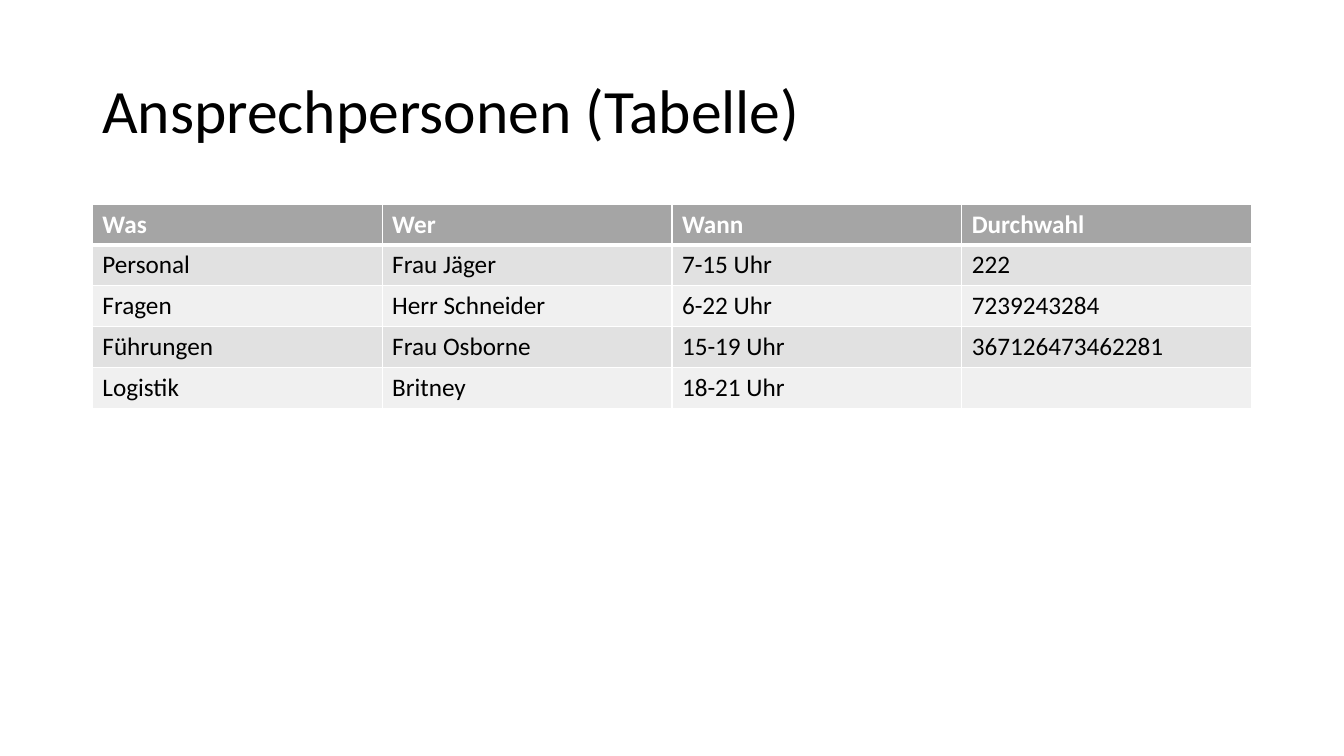
from dataclasses import dataclass

from lxml.etree import SubElement
from pptx import Presentation
from pptx.dml.color import RGBColor
from pptx.enum.text import MSO_ANCHOR
from pptx.oxml.ns import qn
from pptx.slide import Slide
from pptx.table import _Cell as Cell
from pptx.text.text import _Paragraph as Paragraph
from pptx.util import Pt

FONT = "Calibri"
BLACK = "000000"
WHITE = "FFFFFF"
LEFT, WIDTH = 66, 828
ROW_HEIGHT = 29.2
THIN, THICK = 1, 3


@dataclass(frozen=True)
class RowStyle:
    fill: str
    text_color: str = BLACK
    bold: bool = False
    top: float = THIN
    bottom: float = THIN


HEADER = RowStyle("A5A5A5", WHITE, bold=True, bottom=THICK)
FIRST = RowStyle("E1E1E1", top=THICK)
DARK = RowStyle("E1E1E1")
LIGHT = RowStyle("F0F0F0")


@dataclass(frozen=True)
class ContactRow:
    style: RowStyle
    texts: tuple[str, ...]


CONTACTS = [
    ContactRow(HEADER, ("Was", "Wer", "Wann", "Durchwahl")),
    ContactRow(FIRST, ("Personal", "Frau Jäger", "7-15 Uhr", "222")),
    ContactRow(LIGHT, ("Fragen", "Herr Schneider", "6-22 Uhr", "7239243284")),
    ContactRow(DARK, ("Führungen", "Frau Osborne", "15-19 Uhr", "367126473462281")),
    ContactRow(LIGHT, ("Logistik", "Britney", "18-21 Uhr", "")),
]


def color(value: str) -> RGBColor:
    return RGBColor.from_string(value)


def add_run(
    paragraph: Paragraph, text: str, size: float, text_color: str, bold: bool = False
) -> None:
    run = paragraph.add_run()
    run.text = text
    run.font.name = FONT
    run.font.size = Pt(size)
    run.font.bold = bold
    run.font.color.rgb = color(text_color)


def add_borders(cell: Cell, style: RowStyle) -> None:
    properties = cell._tc.get_or_add_tcPr()
    widths = {"lnL": THIN, "lnR": THIN, "lnT": style.top, "lnB": style.bottom}
    for side, width in widths.items():
        line = SubElement(properties, qn(f"a:{side}"), w=str(Pt(width)))
        fill = SubElement(line, qn("a:solidFill"))
        SubElement(fill, qn("a:srgbClr"), val=WHITE)


def fill_cell(cell: Cell, text: str, style: RowStyle) -> None:
    add_borders(cell, style)
    cell.fill.solid()
    cell.fill.fore_color.rgb = color(style.fill)
    if text:
        add_run(cell.text_frame.paragraphs[0], text, 18, style.text_color, style.bold)


def add_title(slide: Slide, text: str) -> None:
    shape = slide.shapes.add_textbox(Pt(LEFT), Pt(28.75), Pt(WIDTH), Pt(104.4))
    frame = shape.text_frame
    frame.word_wrap = True
    frame.vertical_anchor = MSO_ANCHOR.MIDDLE
    paragraph = frame.paragraphs[0]
    paragraph.line_spacing = 0.9
    add_run(paragraph, text, 44, BLACK)


def add_contact_table(slide: Slide, contacts: list[ContactRow]) -> None:
    row_count, column_count = len(contacts), len(contacts[0].texts)
    shape = slide.shapes.add_table(
        row_count, column_count,
        Pt(LEFT), Pt(145.75), Pt(WIDTH), Pt(ROW_HEIGHT * row_count),
    )
    for row, contact in zip(shape.table.rows, contacts):
        row.height = Pt(ROW_HEIGHT)
        for cell, text in zip(row.cells, contact.texts):
            fill_cell(cell, text, contact.style)


def main() -> None:
    presentation = Presentation()
    presentation.slide_width = Pt(960)
    presentation.slide_height = Pt(540)
    slide = presentation.slides.add_slide(presentation.slide_layouts[6])
    add_title(slide, "Ansprechpersonen (Tabelle)")
    add_contact_table(slide, CONTACTS)
    presentation.save("out.pptx")


if __name__ == "__main__":
    main()
